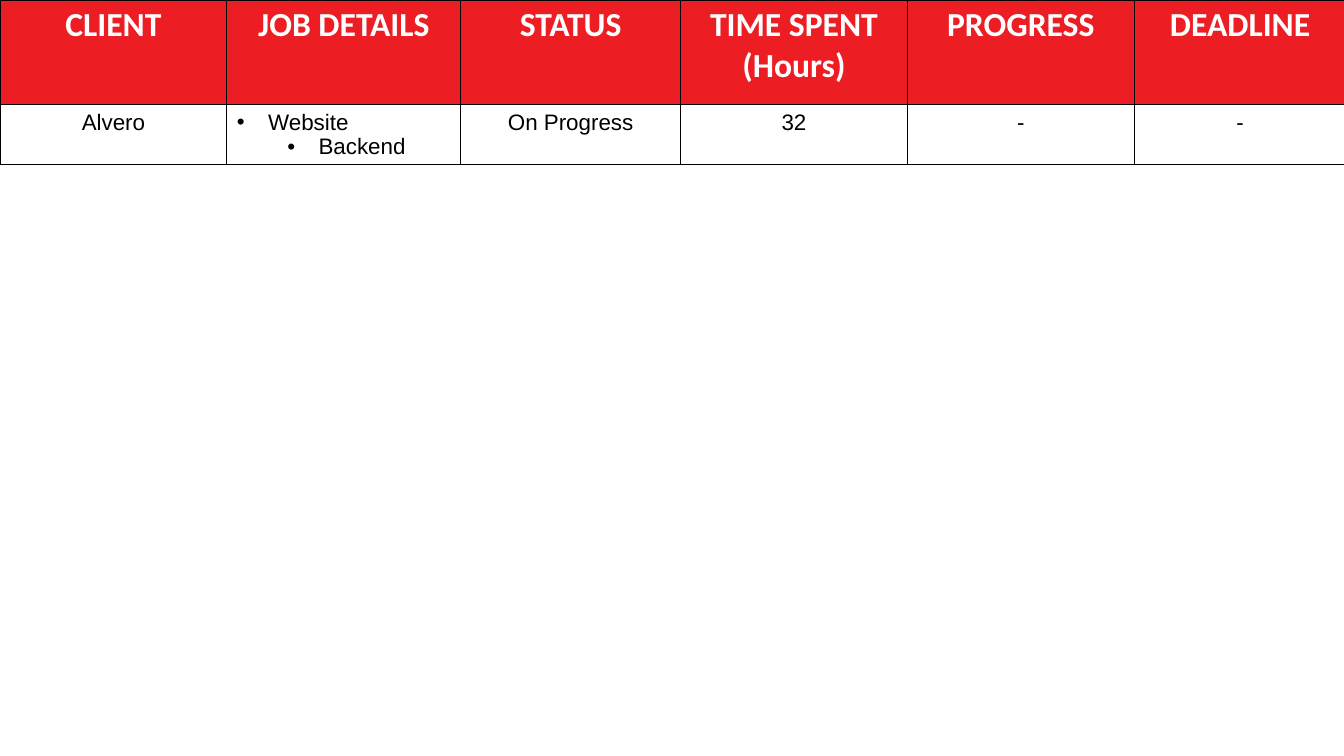
"""Build a job status table slide."""
import pptx
import pptx.util
import pptx.dml.color
import pptx.enum.text
import pptx.oxml
import pptx.oxml.ns
from pptx.util import Inches, Pt

BLACK, WHITE, RED = "000000", "FFFFFF", "EC1D23"
COLUMNS = [
    ("CLIENT", 2.25),
    ("JOB DETAILS", 2.32),
    ("STATUS", 2.18),
    ("TIME SPENT\n(Hours)", 2.25),
    ("PROGRESS", 2.25),
    ("DEADLINE", 2.1),
]
JOB = ["Alvero", ["Website", "Backend"], "On Progress", "32", "-", "-"]
HEADER_HEIGHT, JOB_HEIGHT = 1.04, 0.59
HANGING, LEVEL_STEP = 0.31, 0.5
BORDER_WIDTH = 0.96


def rgb(value):
    return pptx.dml.color.RGBColor.from_string(value)


def add_child(parent, tag, **attributes):
    child = parent.makeelement(pptx.oxml.ns.qn(tag), attributes)
    parent.append(child)
    return child


def add_borders(cell):
    properties = cell._tc.get_or_add_tcPr()
    for side in ("a:lnL", "a:lnR", "a:lnT", "a:lnB"):
        border = add_child(properties, side, w=str(int(Pt(BORDER_WIDTH))))
        add_child(add_child(border, "a:solidFill"), "a:srgbClr", val=BLACK)


def add_bullet(paragraph, level):
    paragraph.level = level
    properties = paragraph._p.get_or_add_pPr()
    properties.set("marL", str(int(Inches(HANGING + level * LEVEL_STEP))))
    properties.set("indent", str(int(Inches(-HANGING))))
    add_child(properties, "a:buFont", typeface="Arial")
    add_child(properties, "a:buChar", char="•")


def fill_cell(cell, content, font, size, color, bold, fill):
    add_borders(cell)
    if fill:
        cell.fill.solid()
        cell.fill.fore_color.rgb = rgb(fill)
    else:
        cell.fill.background()
    bulleted = isinstance(content, list)
    cell.text = "\n".join(content) if bulleted else content
    for level, paragraph in enumerate(cell.text_frame.paragraphs):
        paragraph.font.name = font
        paragraph.font.size = Pt(size)
        paragraph.font.bold = bold
        paragraph.font.color.rgb = rgb(color)
        if bulleted:
            add_bullet(paragraph, level)
        else:
            paragraph.alignment = pptx.enum.text.PP_ALIGN.CENTER


deck = pptx.Presentation()
deck.slide_width, deck.slide_height = Inches(13.33), Inches(7.5)
slide = deck.slides.add_slide(deck.slide_layouts[6])

total_width = sum(width for _, width in COLUMNS)
jobs = slide.shapes.add_table(
    2, len(COLUMNS), 0, 0, Inches(total_width), Inches(HEADER_HEIGHT + JOB_HEIGHT)
).table
jobs.rows[0].height = Inches(HEADER_HEIGHT)
jobs.rows[1].height = Inches(JOB_HEIGHT)
jobs.horz_banding = False

for index, ((heading, width), detail) in enumerate(zip(COLUMNS, JOB)):
    jobs.columns[index].width = Inches(width)
    fill_cell(jobs.cell(0, index), heading, "Calibri", 24, WHITE, True, RED)
    fill_cell(jobs.cell(1, index), detail, "Arial", 16, BLACK, False, None)

deck.save("out.pptx")
